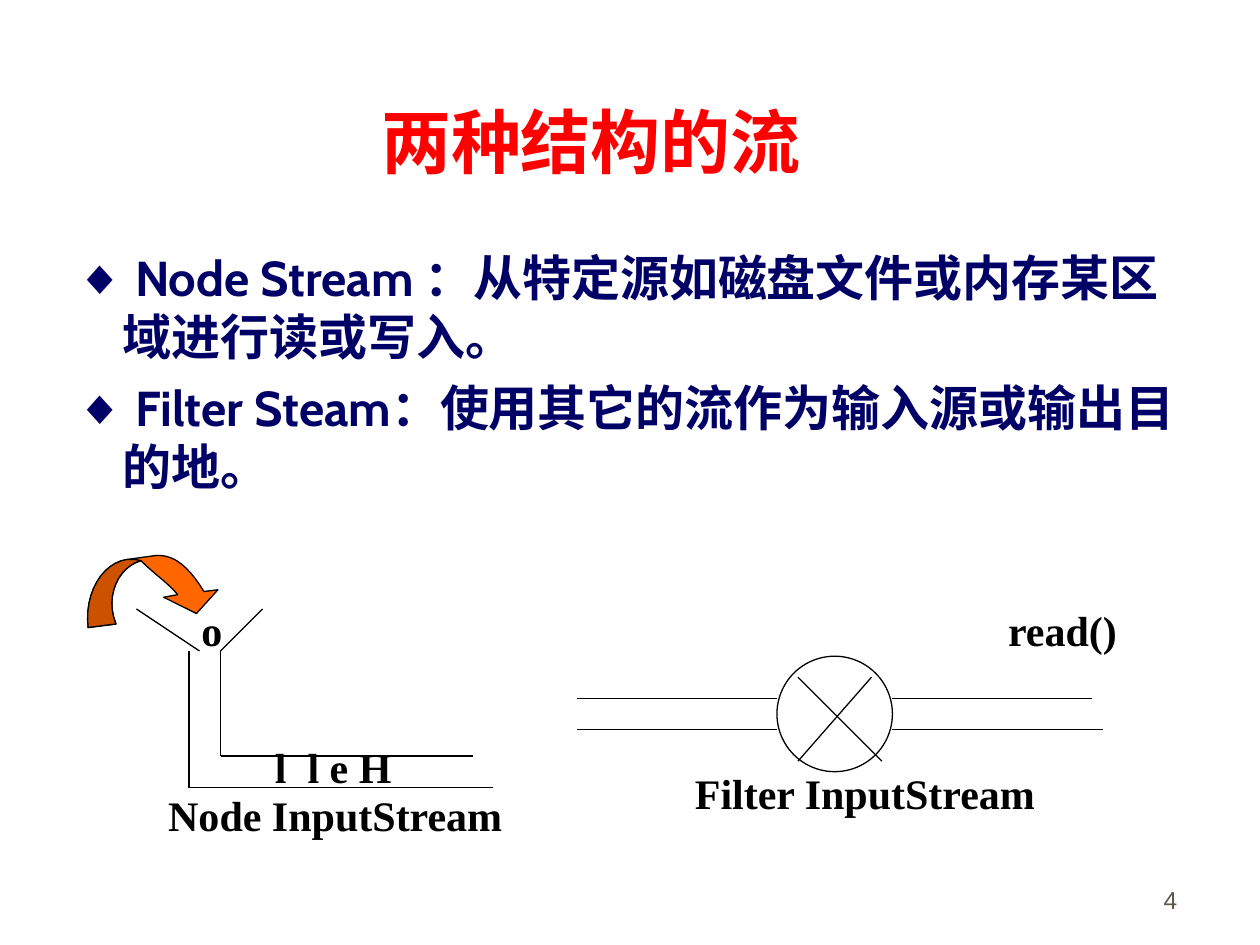
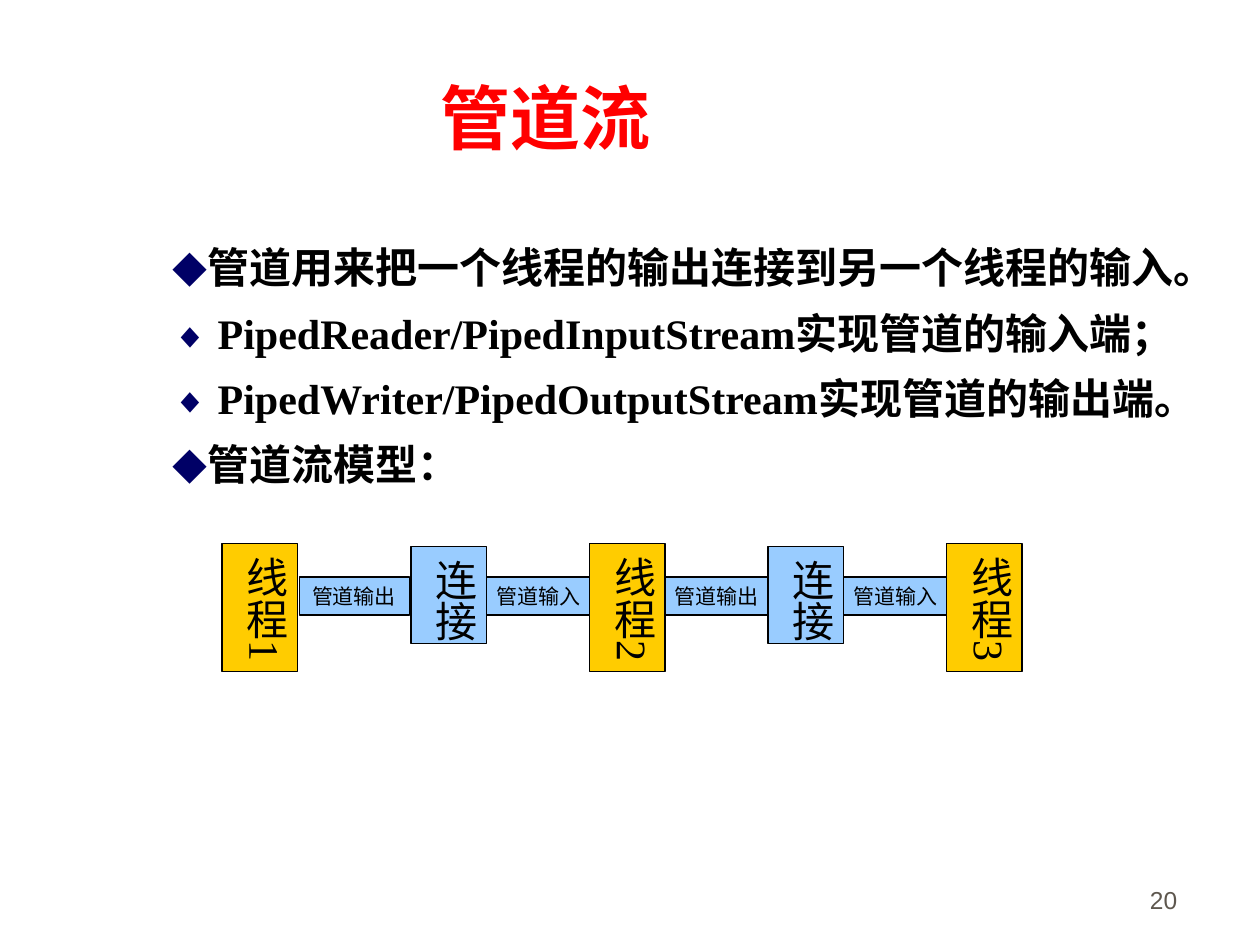
from dataclasses import dataclass
from typing import NamedTuple

from pptx import Presentation
from pptx.dml.color import RGBColor
from pptx.enum.shapes import MSO_CONNECTOR, MSO_SHAPE
from pptx.enum.text import MSO_ANCHOR, MSO_AUTO_SIZE, PP_ALIGN
from pptx.oxml.ns import qn
from pptx.oxml.xmlchemy import OxmlElement
from pptx.shapes.autoshape import Shape
from pptx.slide import Slide
from pptx.util import Length, Pt


# Theme
@dataclass(frozen=True)
class Theme:
    red: RGBColor = RGBColor(0xFF, 0x00, 0x00)
    navy: RGBColor = RGBColor(0x00, 0x00, 0x66)
    black: RGBColor = RGBColor(0x00, 0x00, 0x00)
    white: RGBColor = RGBColor(0xFF, 0xFF, 0xFF)
    footer: RGBColor = RGBColor(0x5E, 0x57, 0x4E)
    orange: RGBColor = RGBColor(0xFF, 0x66, 0x00)
    dark_orange: RGBColor = RGBColor(0xCC, 0x52, 0x00)
    yellow: RGBColor = RGBColor(0xFF, 0xCC, 0x00)
    sky: RGBColor = RGBColor(0x99, 0xCC, 0xFF)
    title_size: Length = Pt(40)
    body_size: Length = Pt(28)
    label_size: Length = Pt(24)
    mark_size: Length = Pt(20)
    number_size: Length = Pt(14)
    pipe_size: Length = Pt(12)
    outline: Length = Pt(0.75)
    serif: str = "Times New Roman"
    sans: str = "Arial"
    heading: str = "Montserrat"
    body: str = "Cabin"


THEME = Theme()


class Box(NamedTuple):
    left: float
    top: float
    width: float
    height: float

    def lengths(self) -> list[Length]:
        return [Pt(value) for value in self]


class Point(NamedTuple):
    x: float
    y: float


class Style(NamedTuple):
    size: Length
    font: str
    color: RGBColor
    bold: bool = False


class Piece(NamedTuple):
    text: str
    style: Style


class Label(NamedTuple):
    text: str
    box: Box


class Segment(NamedTuple):
    start: Point
    end: Point


class Block(NamedTuple):
    text: str
    left: float


class BlockKind(NamedTuple):
    top: float
    width: float
    height: float
    fill: RGBColor
    size: Length
    vertical: bool
    blocks: list[Block]


TITLE = Style(THEME.title_size, THEME.heading, THEME.red, True)
PIPE_TITLE = TITLE._replace(font=THEME.serif)
BODY = Style(THEME.body_size, THEME.body, THEME.navy, True)
BODY_MARK = BODY._replace(font=THEME.sans)
LABEL = Style(THEME.label_size, THEME.serif, THEME.black, True)
LABEL_MARK = Style(THEME.mark_size, THEME.sans, THEME.navy, True)
NUMBER = Style(THEME.number_size, THEME.sans, THEME.footer)

WRAPPED = {"word_wrap": True, "vertical_anchor": MSO_ANCHOR.TOP}
BOTTOM = WRAPPED | {"vertical_anchor": MSO_ANCHOR.BOTTOM}
FITTED = WRAPPED | {"word_wrap": False, "auto_size": MSO_AUTO_SIZE.SHAPE_TO_FIT_TEXT}


# Drawing helpers
def apply(target: object, values: dict) -> None:
    for name, value in values.items():
        setattr(target, name, value)


def write(shape: Shape, lines: list[list[Piece]], frame_format: dict,
          paragraph_format: dict | None = None) -> None:
    frame = shape.text_frame
    apply(frame, frame_format)
    for index, pieces in enumerate(lines):
        paragraph = frame.add_paragraph() if index else frame.paragraphs[0]
        apply(paragraph, {"alignment": PP_ALIGN.LEFT} | (paragraph_format or {}))
        for text, style in pieces:
            run = paragraph.add_run()
            run.text = text
            apply(run.font, {"size": style.size, "name": style.font, "bold": style.bold})
            run.font.color.rgb = style.color


def add_text(slide: Slide, box: Box, lines: list[list[Piece]], frame_format: dict = FITTED,
             paragraph_format: dict | None = None) -> Shape:
    shape = slide.shapes.add_textbox(*box.lengths())
    write(shape, lines, frame_format, paragraph_format)
    return shape


def paint(shape: Shape, fill: RGBColor) -> None:
    shape.shadow.inherit = False
    shape.fill.solid()
    shape.fill.fore_color.rgb = fill
    shape.line.color.rgb = THEME.black
    shape.line.width = THEME.outline


def add_shape(slide: Slide, preset: MSO_SHAPE, box: Box, fill: RGBColor) -> Shape:
    shape = slide.shapes.add_shape(preset, *box.lengths())
    paint(shape, fill)
    return shape


def add_line(slide: Slide, segment: Segment) -> None:
    ends = [Pt(value) for point in segment for value in point]
    line = slide.shapes.add_connector(MSO_CONNECTOR.STRAIGHT, *ends)
    line.line.color.rgb = THEME.black
    line.line.width = THEME.outline
    line.element.spPr.append(OxmlElement("a:effectLst"))


def curve(start: Point, pull: Point, push: Point, end: Point, steps: int = 12) -> list[Point]:
    """Points along a cubic curve, both ends included."""
    points = []
    for step in range(steps + 1):
        t = step / steps
        weights = ((1 - t) ** 3, 3 * t * (1 - t) ** 2, 3 * t * t * (1 - t), t ** 3)
        points.append(Point(*(sum(w * v for w, v in zip(weights, axis))
                              for axis in zip(start, pull, push, end))))
    return points


def add_outline(slide: Slide, points: list[Point], fill: RGBColor) -> None:
    corners = [(Pt(x), Pt(y)) for x, y in points]
    builder = slide.shapes.build_freeform(*corners[0])
    builder.add_line_segments(corners[1:], close=True)
    paint(builder.convert_to_shape(), fill)


def add_number(slide: Slide, number: str) -> None:
    add_text(slide, Box(530, 490.3, 149.8, 36), [[Piece(number, NUMBER)]], BOTTOM,
             {"alignment": PP_ALIGN.RIGHT})


# Slide: two kinds of stream
FUNNEL_AND_TUBE = [
    Segment(Point(78, 348), Point(114, 372)),
    Segment(Point(150, 348), Point(126, 372)),
    Segment(Point(108, 372), Point(108, 450)),
    Segment(Point(108, 450), Point(282, 450)),
    Segment(Point(126, 372), Point(126, 432)),
    Segment(Point(126, 432), Point(270, 432)),
]
FILTER_PIPES = [
    Segment(Point(left, y), Point(right, y))
    for y, outlet in ((399, 624), (417, 630))
    for left, right in ((330, 444), (510, outlet))
]
FILTER_CROSS = [
    Segment(Point(456, 387), Point(504, 435)),
    Segment(Point(498, 387), Point(456, 435)),
]
STREAM_LABELS = [
    Label("o", Box(108, 342, 26, 36)),
    Label("Node InputStream", Box(89, 447.5, 206, 36)),
    Label("Filter InputStream", Box(390, 435, 209.5, 36)),
    Label("read()", Box(569, 342, 77, 36)),
]
STREAM_POINTS = [
    " Node Stream ：从特定源如磁盘文件或内存某区域进行读或写入。",
    " Filter Steam：使用其它的流作为输入源或输出目的地。",
]


def add_feed_arrow(slide: Slide) -> None:
    tail = Point(50.4, 358.6)
    outer = curve(tail, Point(48.2, 339.1), Point(58.3, 321.8), Point(72.7, 319.7))
    inner = curve(Point(80.6, 320.4), Point(67.7, 324), Point(59.8, 340.6), Point(66.3, 356.6))
    head = curve(Point(88.6, 317.5), Point(97.2, 316.8), Point(105.8, 320.4), Point(116.6, 338))
    tip = [Point(124.6, 337), Point(112.3, 350.6), Point(93.6, 341.3), Point(101.5, 339.8)]
    under = curve(tip[-1], Point(96.5, 333.4), Point(89.3, 329), Point(80.6, 320.4))
    add_outline(slide, outer + head + tip + under + inner, THEME.orange)
    add_outline(slide, outer + [Point(77, 319.7)] + inner, THEME.dark_orange)


def build_streams(slide: Slide) -> None:
    add_number(slide, "4")
    add_text(slide, Box(31.7, 18, 612, 90), [[Piece("两种结构的流", TITLE)]], BOTTOM,
             {"alignment": PP_ALIGN.CENTER})
    points = add_text(slide, Box(36, 138.2, 643.7, 328.3),
                      [[Piece("◆", BODY_MARK), Piece(text, BODY)] for text in STREAM_POINTS],
                      WRAPPED)
    for index, paragraph in enumerate(points.text_frame.paragraphs):
        paragraph.space_before = Pt(7 if index else 0)
        for name, value in {"marL": Pt(27), "indent": Pt(-27)}.items():
            paragraph._p.get_or_add_pPr().set(name, str(value))

    # Node stream
    for segment in FUNNEL_AND_TUBE:
        add_line(slide, segment)
    add_feed_arrow(slide)
    letters = add_text(slide, Box(150, 420, 81, 36),
                       [[Piece("l", LABEL), Piece(" l e H", LABEL)]])
    next(letters.element.iter(qn("a:rPr"))).set("spc", "600")

    # Filter stream
    for segment in FILTER_PIPES:
        add_line(slide, segment)
    add_shape(slide, MSO_SHAPE.OVAL, Box(444, 375, 66, 66), THEME.white)
    for segment in FILTER_CROSS:
        add_line(slide, segment)
    for text, box in STREAM_LABELS:
        add_text(slide, box, [[Piece(text, LABEL)]])


# Slide: piped streams
PIPE_POINTS = [
    "管道用来把一个线程的输出连接到另一个线程的输入。",
    " PipedReader/PipedInputStream实现管道的输入端；",
    " PipedWriter/PipedOutputStream实现管道的输出端。",
    "管道流模型：",
]
PIPE_MODEL = [
    BlockKind(329.8, 63, 21.6, THEME.sky, THEME.pipe_size, False,
              [Block("管道输出", 171.2), Block("管道输入", 276.6),
               Block("管道输出", 378.4), Block("管道输入", 480.5)]),
    BlockKind(310.7, 43.2, 73.2, THEME.yellow, THEME.label_size, True,
              [Block("线程1", 126.9), Block("线程2", 336.9), Block("线程3", 540.9)]),
    BlockKind(312.4, 43.2, 55.4, THEME.sky, THEME.label_size, True,
              [Block("连接", 234.9), Block("连接", 438.9)]),
]


def add_blocks(slide: Slide, kind: BlockKind) -> None:
    side, end = Pt(3.6 if kind.vertical else 7.2), Pt(3.6)
    margins = {"margin_left": side, "margin_right": side, "margin_top": end, "margin_bottom": end}
    style = Style(kind.size, THEME.serif, THEME.black)
    for text, left in kind.blocks:
        shape = add_shape(slide, MSO_SHAPE.RECTANGLE,
                          Box(left, kind.top, kind.width, kind.height), kind.fill)
        write(shape, [[Piece(text, style)]], FITTED | margins)
        if kind.vertical:
            shape.element.txBody.bodyPr.set("vert", "eaVert")


def build_pipes(slide: Slide) -> None:
    add_number(slide, "20")
    add_text(slide, Box(244.8, 38.9, 137, 55.4), [[Piece("管道流", PIPE_TITLE)]])
    add_text(slide, Box(91.4, 126, 610.6, 157),
             [[Piece("◆", LABEL_MARK), Piece(text, LABEL)] for text in PIPE_POINTS],
             FITTED, {"line_spacing": 1.3})
    for kind in PIPE_MODEL:
        add_blocks(slide, kind)


def main() -> None:
    deck = Presentation()
    apply(deck, {"slide_width": Pt(720), "slide_height": Pt(540)})
    for build in (build_streams, build_pipes):
        build(deck.slides.add_slide(deck.slide_layouts[6]))
    deck.save("out.pptx")


if __name__ == "__main__":
    main()
